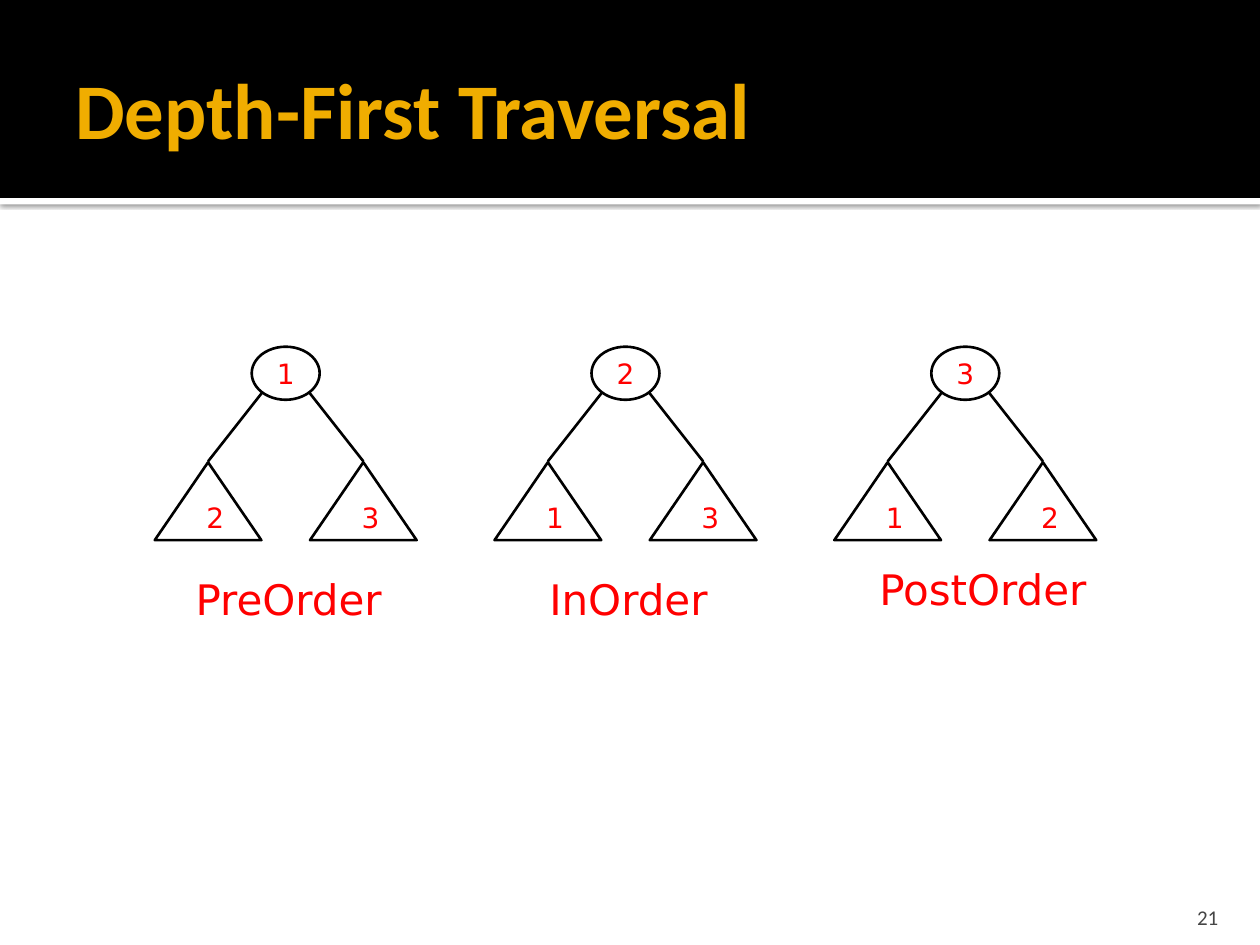
from dataclasses import dataclass

from lxml.etree import SubElement
from pptx import Presentation
from pptx.dml.color import RGBColor
from pptx.enum.shapes import MSO_CONNECTOR, MSO_SHAPE
from pptx.enum.text import MSO_ANCHOR, PP_ALIGN
from pptx.oxml.ns import qn
from pptx.util import Cm, Pt


@dataclass(frozen=True)
class Theme:
    black: RGBColor = RGBColor(0x00, 0x00, 0x00)
    white: RGBColor = RGBColor(0xFF, 0xFF, 0xFF)
    gold: RGBColor = RGBColor(0xF0, 0xAD, 0x00)
    red: RGBColor = RGBColor(0xFF, 0x00, 0x00)
    gray: RGBColor = RGBColor(0x45, 0x45, 0x45)
    heading_font: str = "Calibri"
    diagram_font: str = "DejaVu Sans"
    title_size: Pt = Pt(45)
    caption_size: Pt = Pt(24)
    node_size: Pt = Pt(16)
    number_size: Pt = Pt(12)
    line_width: Pt = Pt(1.5)


theme = Theme()
deck = Presentation()
deck.slide_width, deck.slide_height = Cm(25.4), Cm(19.05)
slide = deck.slides.add_slide(deck.slide_layouts[6])
shapes = slide.shapes


def add_preset(kind, left, top, width, height, fill=None):
    """Add a filled shape without outline, or an outlined one without fill."""
    shape = shapes.add_shape(kind, Cm(left), Cm(top), Cm(width), Cm(height))
    shape.shadow.inherit = False
    if fill is None:
        shape.fill.background()
        shape.line.color.rgb = theme.black
        shape.line.width = theme.line_width
    else:
        shape.fill.solid()
        shape.fill.fore_color.rgb = fill
        shape.line.fill.background()
    return shape


def write(shape, text, font, size, color, align=PP_ALIGN.LEFT, anchor=MSO_ANCHOR.TOP, wrap=True):
    frame = shape.text_frame
    frame.word_wrap = wrap
    frame.vertical_anchor = anchor
    para = frame.paragraphs[0]
    para.text = text
    para.alignment = align
    para.font.name, para.font.size, para.font.color.rgb = font, size, color
    return frame


# Header band with a shadowed white strip below it
strip = add_preset(MSO_SHAPE.RECTANGLE, 0, 3.99, 25.4, 0.13, theme.white)
effects = strip.element.spPr.find(qn("a:effectLst"))
shadow = SubElement(effects, qn("a:outerShdw"), blurRad=str(Pt(2.5)), dist=str(Pt(0.8)),
                    dir="5400000", algn="t", rotWithShape="0")
shadow_color = SubElement(shadow, qn("a:srgbClr"), val=str(theme.black))
SubElement(shadow_color, qn("a:alpha"), val="60000")
add_preset(MSO_SHAPE.RECTANGLE, 0, 0, 25.4, 3.99, theme.black)

number_box = shapes.add_textbox(Cm(22.78), Cm(17.98), Cm(2.03), Cm(0.76))
number_frame = write(number_box, "21", theme.heading_font, theme.number_size, theme.gray,
                     PP_ALIGN.RIGHT, MSO_ANCHOR.BOTTOM)
number_frame.margin_bottom = 0

title_box = shapes.add_textbox(Cm(1.27), Cm(0.43), Cm(22.86), Cm(3.48))
title_frame = write(title_box, "Depth-First Traversal", theme.heading_font, theme.title_size,
                    theme.gold, anchor=MSO_ANCHOR.MIDDLE)
title_frame.margin_right = Cm(0.13)
title_frame.paragraphs[0].font.bold = True

# Each tree: visiting order of root, left and right subtree, then its caption and place
trees = [
    ("1", "2", "3", "PreOrder", 3.38, 11.43, 4.88),
    ("2", "1", "3", "InOrder", 10.74, 11.43, 3.86),
    ("3", "1", "2", "PostOrder", 17.4, 11.23, 4.83),
]
first_left, tree_pitch = 3.12, 6.85
subtree_pitch, subtree_width = 3.13, 2.15
root_width, root_height = 1.37, 1.07
edge_starts = (2.16, 3.12)

for index, (root, left, right, caption, caption_left, caption_top, caption_width) in enumerate(trees):
    tree_left = first_left + index * tree_pitch
    root_left = tree_left + (subtree_pitch + subtree_width - root_width) / 2
    circle = add_preset(MSO_SHAPE.OVAL, root_left, 6.99, root_width, root_height)
    write(circle, root, theme.diagram_font, theme.node_size, theme.red,
          PP_ALIGN.CENTER, MSO_ANCHOR.MIDDLE, wrap=False)

    for side, (order, edge_start) in enumerate(zip((left, right), edge_starts)):
        subtree_left = tree_left + side * subtree_pitch
        edge = shapes.add_connector(
            MSO_CONNECTOR.STRAIGHT, Cm(tree_left + edge_start), Cm(7.92),
            Cm(subtree_left + subtree_width / 2), Cm(9.3))
        edge.line.color.rgb = theme.black
        edge.line.width = theme.line_width
        SubElement(edge.element.spPr, qn("a:effectLst"))
        add_preset(MSO_SHAPE.ISOSCELES_TRIANGLE, subtree_left, 9.32, subtree_width, 1.57)
        order_box = shapes.add_textbox(Cm(subtree_left + 0.79), Cm(9.96), Cm(0.98), Cm(0.94))
        write(order_box, order, theme.diagram_font, theme.node_size, theme.red)

    caption_box = shapes.add_textbox(Cm(caption_left), Cm(caption_top), Cm(caption_width), Cm(1.3))
    write(caption_box, caption, theme.diagram_font, theme.caption_size, theme.red, PP_ALIGN.CENTER)

deck.save("out.pptx")
